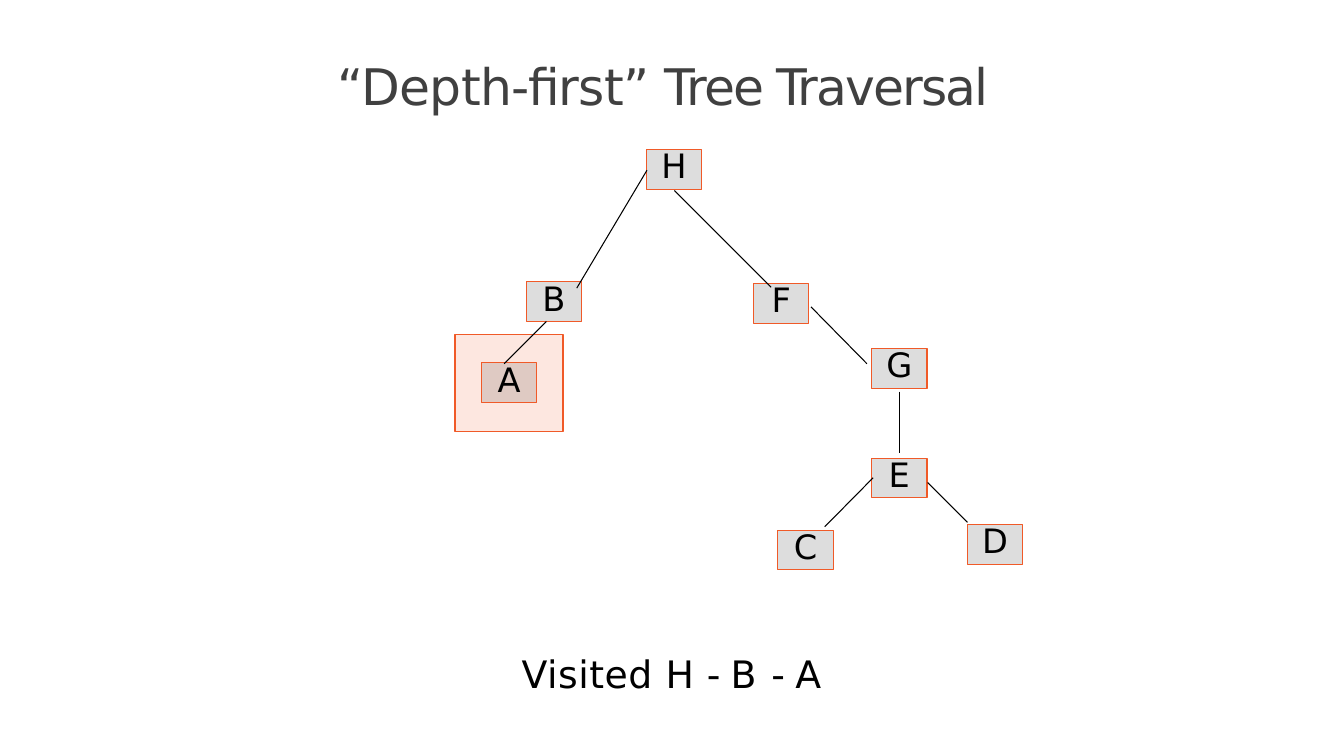
from lxml import etree
from pptx import Presentation
from pptx.dml.color import RGBColor
from pptx.enum.shapes import MSO_CONNECTOR as Link, MSO_SHAPE as Shape
from pptx.enum.text import MSO_ANCHOR as Anchor, PP_ALIGN as Align
from pptx.oxml.ns import qn
from pptx.util import Cm, Pt

FONT = "DejaVu Sans"
BLACK = RGBColor(0x00, 0x00, 0x00)
TITLE_GREY = RGBColor(0x40, 0x40, 0x40)
NODE_GREY = RGBColor(0xDD, 0xDD, 0xDD)
BORDER = RGBColor(0xF0, 0x5A, 0x28)
HIGHLIGHT = RGBColor(0xF1, 0x5B, 0x2A)
NODE_SIZE = (1.86, 1.34)

# Top left corner of each node, in cm; the current node carries its
# letter on the highlight that lies over it.
NODES = {
    "A": (16.18, 12.19), "B": (17.68, 9.47), "F": (25.32, 9.53),
    "H": (21.72, 5.03), "D": (32.51, 17.63), "E": (29.29, 15.39),
    "C": (26.14, 17.81), "G": (29.29, 11.71),
}
CURRENT = "A"

# Start and end of each branch, in cm
BRANCHES = [
    (21.74, 5.72, 19.38, 9.68),    # H to B
    (22.66, 6.4, 25.91, 9.65),     # H to F
    (18.36, 10.8, 16.94, 12.22),   # B to A
    (27.25, 10.31, 29.13, 12.22),  # F to G
    (30.23, 13.16, 30.23, 15.21),  # G to E
    (29.34, 16.05, 27.71, 17.7),   # E to C
    (31.17, 16.21, 32.51, 17.55),  # E to D
]

# Runs with their letter spacing in points
TITLE = [("“Depth-first” ", -0.7), ("Tree Traversal", -1.8)]
VISITED = [("Visited ", 0.5), ("H ", 0.3), ("- ", -1.7),
           ("B ", 1.3), ("- ", -1.7), ("A", 3.8)]


def style_run(run, size, color):
    run.font.name = FONT
    run.font.size = Pt(size)
    run.font.color.rgb = color


def set_frame(frame, anchor, inset_top=0, inset_bottom=0):
    frame.margin_left = frame.margin_right = 0
    frame.margin_top, frame.margin_bottom = Cm(inset_top), Cm(inset_bottom)
    frame.vertical_anchor = anchor


def write_line(shape, parts, size, color):
    """Write one left-aligned line of runs with their own letter spacing."""
    frame = shape.text_frame
    set_frame(frame, Anchor.TOP, inset_top=0.06)
    frame.word_wrap = True
    line = frame.paragraphs[0]
    line.alignment = Align.LEFT
    for text, spacing in parts:
        run = line.add_run()
        run.text = text
        style_run(run, size, color)
        run.font._element.set("spc", str(round(spacing * 100)))


def add_box(slide, left, top, width, height, fill, letter, anchor, **insets):
    box = slide.shapes.add_shape(
        Shape.RECTANGLE, Cm(left), Cm(top), Cm(width), Cm(height))
    box.shadow.inherit = False
    box.fill.solid()
    box.fill.fore_color.rgb = fill
    box.line.color.rgb = BORDER
    box.line.width = Pt(1)
    if letter:
        frame = box.text_frame
        set_frame(frame, anchor, **insets)
        label = frame.paragraphs[0]
        label.text = letter
        label.alignment = Align.CENTER
        style_run(label.runs[0], 32, BLACK)
    return box


def add_node(slide, letter, left, top):
    shown = "" if letter == CURRENT else letter
    add_box(slide, left, top, *NODE_SIZE, NODE_GREY, shown,
            Anchor.BOTTOM, inset_bottom=0.13)


def add_highlight(slide):
    box = add_box(slide, 15.29, 11.25, 3.63, 3.25, HIGHLIGHT, CURRENT,
                  Anchor.TOP, inset_top=0.81)
    color = box._element.spPr.find(qn("a:solidFill"))[0]
    etree.SubElement(color, qn("a:alpha")).set("val", "14000")


def add_branch(slide, x1, y1, x2, y2):
    branch = slide.shapes.add_connector(
        Link.STRAIGHT, Cm(x1), Cm(y1), Cm(x2), Cm(y2))
    branch.line.color.rgb = BLACK
    branch.line.width = Pt(1)
    etree.SubElement(branch._element.spPr, qn("a:effectLst"))


def main():
    prs = Presentation()
    prs.slide_width, prs.slide_height = Cm(45.16), Cm(25.4)
    slide = prs.slides.add_slide(prs.slide_layouts[5])

    # Title
    title = slide.shapes.title
    title.left, title.top = Cm(11.35), Cm(1.8)
    title.width, title.height = Cm(22.43), Cm(2.11)
    write_line(title, TITLE, 48, TITLE_GREY)

    # Tree
    for letter, corner in NODES.items():
        add_node(slide, letter, *corner)
    add_highlight(slide)
    for ends in BRANCHES:
        add_branch(slide, *ends)

    # Visiting order so far
    visited = slide.shapes.add_textbox(
        Cm(17.53), Cm(21.79), Cm(10.31), Cm(1.6))
    write_line(visited, VISITED, 36, BLACK)

    prs.save("out.pptx")


if __name__ == "__main__":
    main()
